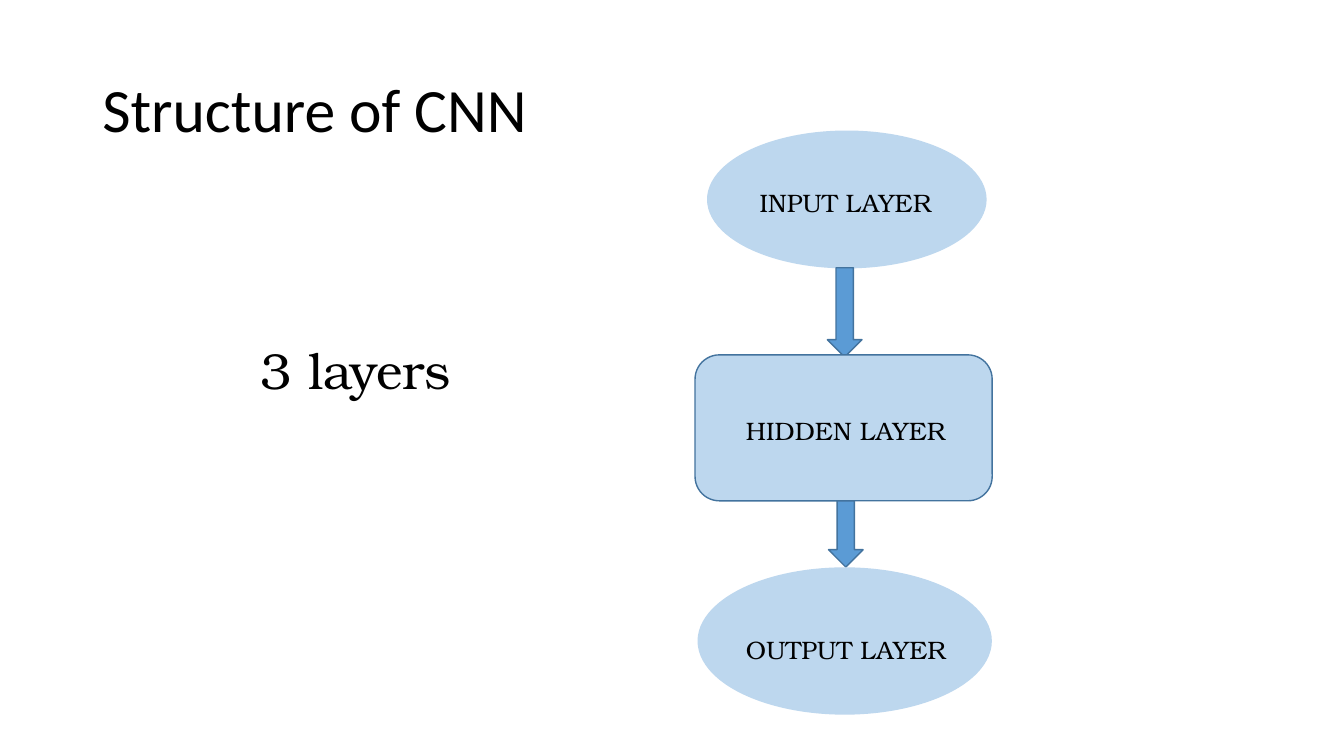
from pptx import Presentation
from pptx.dml.color import RGBColor
from pptx.enum.shapes import MSO_SHAPE
from pptx.enum.text import MSO_ANCHOR, MSO_AUTO_SIZE
from pptx.util import Emu, Pt

EMU_PER_PX = 9525
PALE_BLUE, BLUE, DARK_BLUE, BLACK = "BDD7EE", "5B9BD5", "43739E", "000000"
SANS, SERIF = "Calibri", "TeX Gyre Bonum"

# Offsets are from the left and top of the flow chart.
LAYERS = [
    # shape, (left, top, width, height), line colour
    (MSO_SHAPE.OVAL, (12, 0, 265, 130), PALE_BLUE),
    (MSO_SHAPE.ROUNDED_RECTANGLE, (0, 213, 283, 139), DARK_BLUE),
    (MSO_SHAPE.OVAL, (3, 416, 279, 139), PALE_BLUE),
]
ARROWS = [(126, 130, 33, 85), (127, 352, 33, 63)]
LABELS = [
    ("INPUT LAYER", (52, 49, 183, 38)),
    ("HIDDEN LAYER", (39, 266, 210, 38)),
    ("OUTPUT LAYER", (39, 474, 210, 38)),
]


def color(hex_string):
    return RGBColor.from_string(hex_string)


def emu_box(box):
    return [Emu(length * EMU_PER_PX) for length in box]


def offset_box(origin, box):
    return (origin[0] + box[0], origin[1] + box[1], *box[2:])


def add_text(slide, box, text, size, font_name, line_spacing=1.0, **frame_format):
    frame = slide.shapes.add_textbox(*emu_box(box)).text_frame
    for name, value in {"word_wrap": True, **frame_format}.items():
        setattr(frame, name, value)
    paragraph = frame.paragraphs[0]
    paragraph.line_spacing = line_spacing
    run = paragraph.add_run()
    run.text = text
    for name, value in {"size": Pt(size), "name": font_name}.items():
        setattr(run.font, name, value)
    run.font.color.rgb = color(BLACK)


def add_filled_shape(slide, preset, box, fill_color, line_color):
    shape = slide.shapes.add_shape(preset, *emu_box(box))
    shape.shadow.inherit = False
    shape.fill.solid()
    shape.fill.fore_color.rgb = color(fill_color)
    shape.line.color.rgb = color(line_color)
    shape.line.width = Pt(1)


def add_title(slide, box):
    add_text(slide, box, "Structure of CNN", 44, SANS, 0.9,
             vertical_anchor=MSO_ANCHOR.MIDDLE)


def add_layer_count(slide, box):
    add_text(slide, box, "3 layers", 36, SERIF, 0.9)


def add_layer_flow(slide, origin):
    for index, (preset, box, line_color) in enumerate(LAYERS):
        if index:
            arrow_box = offset_box(origin, ARROWS[index - 1])
            add_filled_shape(slide, MSO_SHAPE.DOWN_ARROW, arrow_box, BLUE, DARK_BLUE)
        add_filled_shape(slide, preset, offset_box(origin, box), PALE_BLUE, line_color)
    for text, box in LABELS:
        add_text(slide, offset_box(origin, box), text, 18, SERIF,
                 word_wrap=False, auto_size=MSO_AUTO_SIZE.SHAPE_TO_FIT_TEXT)


def main():
    presentation = Presentation()
    presentation.slide_width, presentation.slide_height = emu_box((1280, 720))
    slide = presentation.slides.add_slide(presentation.slide_layouts[6])
    add_title(slide, (88, 38, 1104, 139))
    add_layer_count(slide, (239, 325, 235, 102))
    add_layer_flow(slide, (662, 125))
    presentation.save("out.pptx")


if __name__ == "__main__":
    main()
